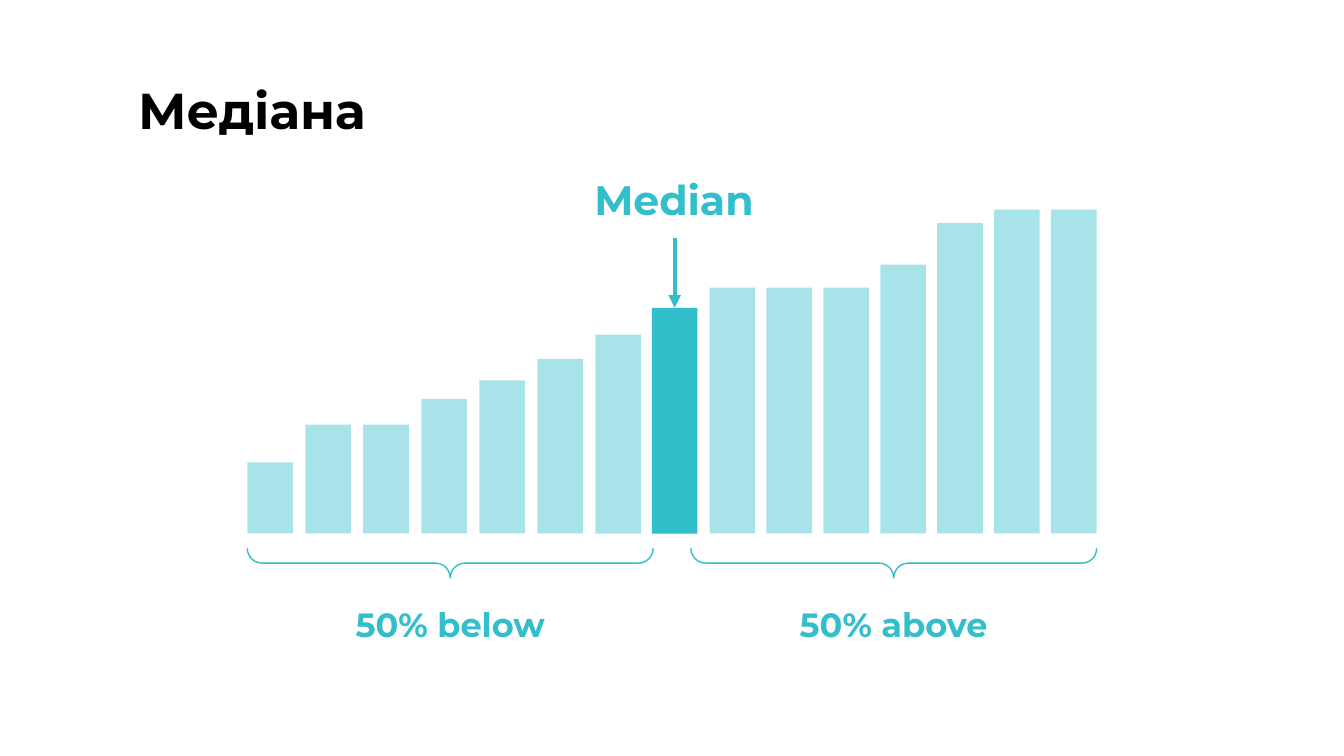
from lxml import etree
from pptx import Presentation
from pptx.dml.color import RGBColor
from pptx.enum.shapes import MSO_CONNECTOR, MSO_SHAPE
from pptx.enum.text import MSO_ANCHOR, PP_ALIGN
from pptx.oxml.ns import qn
from pptx.util import Inches, Pt

RECTANGLE = MSO_SHAPE.RECTANGLE
RIGHT_BRACE = MSO_SHAPE.RIGHT_BRACE
STRAIGHT = MSO_CONNECTOR.STRAIGHT
MIDDLE = MSO_ANCHOR.MIDDLE
LEFT, CENTER = PP_ALIGN.LEFT, PP_ALIGN.CENTER

FONT = "Montserrat"
BLACK, TEAL, BAR_TEAL = "000000", "32BECB", "31BECB"
BAR_OPACITY = 42
BAR_WIDTH = 0.34
BASELINE = 3.97
BELOW_HEIGHTS = [0.53, 0.81, 0.81, 1, 1.14, 1.3, 1.48]
ABOVE_HEIGHTS = [1.83, 1.83, 1.83, 2, 2.31, 2.41, 2.41]
MEDIAN_LEFT, MEDIAN_HEIGHT = 4.85, 1.68


def rgb(color):
    return RGBColor.from_string(color)


def add_text(s, text, left, top, width, height, size, color=TEAL,
             align=CENTER, spacing=None):
    box = s.shapes.add_textbox(Inches(left), Inches(top), Inches(width), Inches(height))
    tf = box.text_frame
    tf.word_wrap = True
    tf.vertical_anchor = MIDDLE
    tf.margin_left = tf.margin_right = Inches(0.1)
    tf.margin_top = tf.margin_bottom = Inches(0.1)
    p = tf.paragraphs[0]
    p.text = text
    p.alignment = align
    if spacing:
        p.line_spacing = spacing
    p.font.name = FONT
    p.font.size = Pt(size)
    p.font.bold = True
    p.font.color.rgb = rgb(color)


def add_bar(s, left, height, color, opacity=100):
    bar = s.shapes.add_shape(RECTANGLE, Inches(left), Inches(BASELINE - height),
                             Inches(BAR_WIDTH), Inches(height))
    bar.shadow.inherit = False
    bar.line.fill.background()
    bar.fill.solid()
    bar.fill.fore_color.rgb = rgb(color)
    if opacity < 100:
        fill_color = bar.fill._xPr.find(qn("a:solidFill"))[0]
        etree.SubElement(fill_color, qn("a:alpha"), val=str(opacity * 1000))
    return bar


def add_bars(s, first, last, heights):
    step = (last - first) / (len(heights) - 1)
    for i, height in enumerate(heights):
        add_bar(s, first + i * step, height, BAR_TEAL, BAR_OPACITY)


def add_brace(s, center_x, center_y, span, depth):
    brace = s.shapes.add_shape(RIGHT_BRACE, Inches(center_x - depth / 2),
                               Inches(center_y - span / 2), Inches(depth), Inches(span))
    brace.rotation = 90
    brace.adjustments[0] = 0.5
    brace.adjustments[1] = 0.5
    brace.shadow.inherit = False
    brace.fill.background()
    brace.line.color.rgb = rgb(BAR_TEAL)
    brace.line.width = Pt(0.75)


def add_arrow_down(s, x, top, target):
    arrow = s.shapes.add_connector(STRAIGHT, Inches(x), Inches(top), Inches(x), target.top)
    arrow.end_connect(target, 0)
    arrow.line.color.rgb = rgb(TEAL)
    arrow.line.width = Pt(2.25)
    etree.SubElement(arrow.line._get_or_add_ln(), qn("a:tailEnd"), type="triangle")
    etree.SubElement(arrow._element.spPr, qn("a:effectLst"))


def main():
    prs = Presentation()
    prs.slide_width = Inches(10)
    prs.slide_height = prs.slide_width * 9 // 16
    s = prs.slides.add_slide(prs.slide_layouts[6])

    add_text(s, "Медіана", 0.93, 0.47, 9.32, 0.69, 27, BLACK, LEFT)
    add_bars(s, 1.84, 4.43, BELOW_HEIGHTS)
    median_bar = add_bar(s, MEDIAN_LEFT, MEDIAN_HEIGHT, TEAL)
    add_bars(s, 5.28, 7.82, ABOVE_HEIGHTS)

    add_text(s, "Median", 3.85, 1.29, 2.33, 0.48, 22, spacing=0.7)
    for text, center_x in (("50% below", 3.35), ("50% above", 6.65)):
        add_text(s, text, center_x - 1.02, 4.3, 2.04, 0.69, 18)
        add_brace(s, center_x, 4.19, 3.02, 0.22)
    add_arrow_down(s, MEDIAN_LEFT + BAR_WIDTH / 2, 1.77, median_bar)

    prs.save("out.pptx")


if __name__ == "__main__":
    main()
